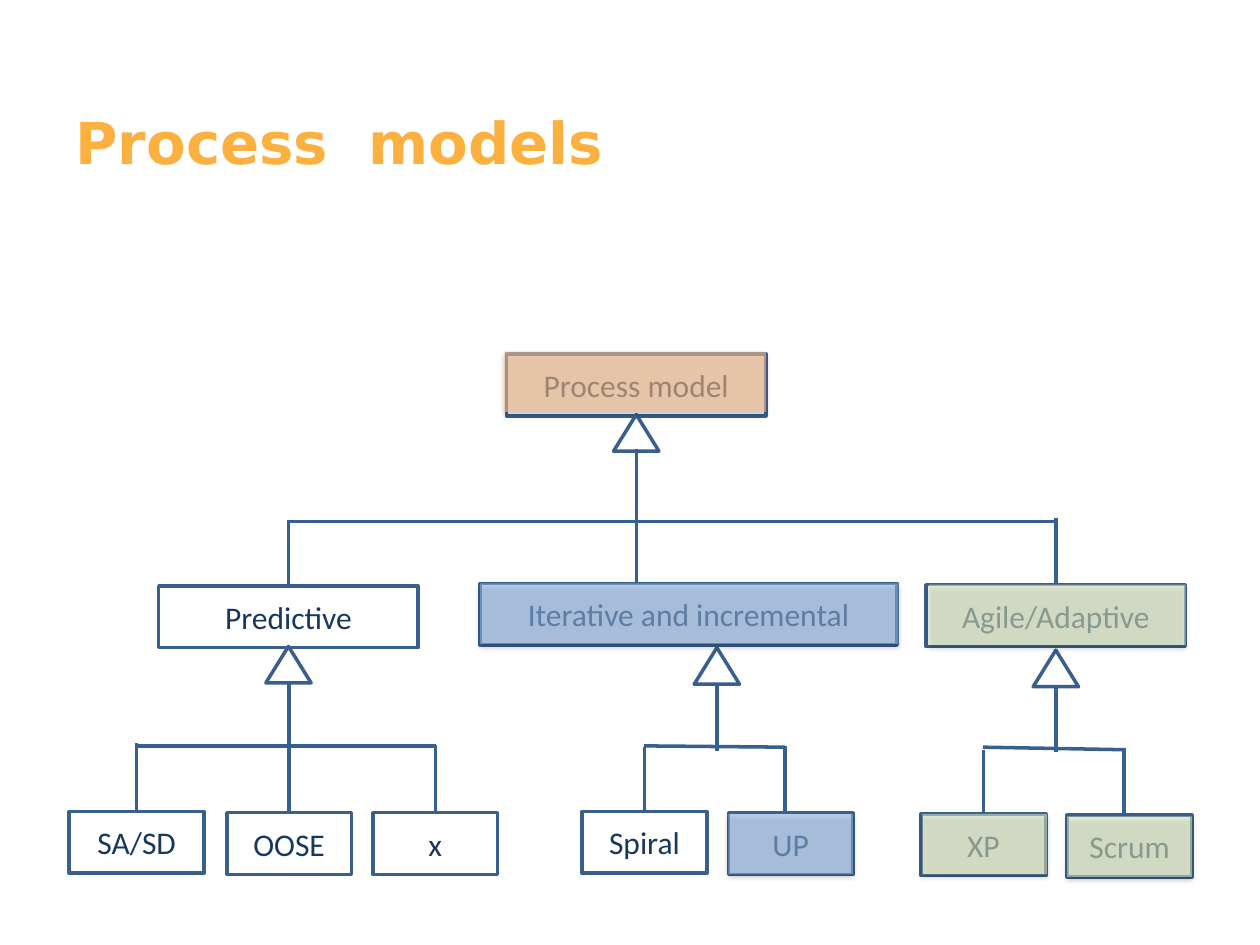
from typing import NamedTuple, Optional

from lxml import etree
from pptx import Presentation
from pptx.dml.color import RGBColor
from pptx.enum import shapes, text
from pptx.oxml.ns import qn
from pptx.util import Inches, Pt

COLORS = {
    "title": "FBB040", "text": "17375E", "white": "FFFFFF",
    "border": "3A5F8C", "line": "376092",
    "blue": "8EB4E3", "green": "D7E4BD", "orange": "FAC090",
}
BOX_HEIGHT, TINT_HEIGHT = 0.49, 0.48
ARROW_WIDTH, ARROW_HEIGHT = 0.36, 0.29


class Box(NamedTuple):
    label: str
    left: float
    top: float
    width: float = 0.99


class Line(NamedTuple):
    x1: float
    y1: float
    x2: float
    y2: float
    target: Optional[str] = None  # box whose top middle the line joins


class Tint(NamedTuple):
    color: str
    left: float
    top: float
    width: float = 0.99


BOXES = [
    Box("Process model", 4.02, 2.81, 2.06),
    Box("Predictive", 1.26, 4.65, 2.06),
    Box("Iterative and incremental", 3.81, 4.63, 3.31),
    Box("Agile/Adaptive", 7.35, 4.64, 2.06),
    Box("SA/SD", 0.55, 6.44, 1.07),
    Box("OOSE", 1.8, 6.45),
    Box("x", 2.96, 6.45),
    Box("Spiral", 4.62, 6.44),
    Box("UP", 5.78, 6.45),
    Box("XP", 7.31, 6.46),
    Box("Scrum", 8.47, 6.47),
]
# Tip of each generalization arrow
ARROW_TIPS = [(5.05, 3.29), (2.29, 5.13), (5.69, 5.14), (8.38, 5.16)]
LINES = [
    # Process model to its three families
    Line(5.05, 3.56, 5.05, 4.62),
    Line(2.29, 4.14, 8.38, 4.14),
    Line(2.29, 4.13, 2.29, 4.65, "Predictive"),
    Line(8.38, 4.11, 8.38, 4.64, "Agile/Adaptive"),
    # Predictive
    Line(2.29, 5.42, 2.29, 6.45, "OOSE"),
    Line(1.08, 5.92, 3.46, 5.92),
    Line(1.08, 5.9, 1.08, 6.44, "SA/SD"),
    Line(3.45, 5.91, 3.45, 6.45, "x"),
    # Iterative and incremental
    Line(5.69, 5.43, 5.69, 5.96),
    Line(5.11, 5.92, 6.23, 5.93),
    Line(5.12, 5.93, 5.12, 6.44, "Spiral"),
    Line(6.23, 5.92, 6.23, 6.45),
    # Agile/Adaptive
    Line(8.38, 5.45, 8.38, 5.97),
    Line(7.8, 5.93, 8.92, 5.95),
    Line(7.81, 5.95, 7.81, 6.46, "XP"),
    Line(8.92, 5.94, 8.92, 6.47),
]
TINTS = [
    Tint("blue", 5.78, 6.46),
    Tint("green", 7.32, 6.46),
    Tint("green", 8.47, 6.48),
    Tint("green", 7.37, 4.64, 2.04),
    Tint("blue", 3.81, 4.63, 3.32),
    Tint("orange", 4, 2.79, 2.08),
]


def rgb(name: str) -> RGBColor:
    return RGBColor.from_string(COLORS[name])


def style_span(span, font: str, size: float, color: str, bold: bool = False) -> None:
    span.font.name, span.font.size, span.font.bold = font, Pt(size), bold
    span.font.color.rgb = rgb(color)


def add_outlined(page, kind, left: float, top: float, width: float, height: float):
    shape = page.shapes.add_shape(
        kind, Inches(left), Inches(top), Inches(width), Inches(height))
    shape.shadow.inherit = False
    shape.fill.solid()
    shape.fill.fore_color.rgb = rgb("white")
    shape.line.color.rgb = rgb("border")
    shape.line.width = Pt(2)
    return shape


def draw_box(page, box: Box):
    shape = add_outlined(page, shapes.MSO_SHAPE.RECTANGLE,
                         box.left, box.top, box.width, BOX_HEIGHT)
    frame = shape.text_frame
    frame.text = box.label
    frame.word_wrap = False
    frame.vertical_anchor = text.MSO_ANCHOR.MIDDLE
    frame.paragraphs[0].alignment = text.PP_ALIGN.CENTER
    style_span(frame.paragraphs[0].runs[0], "Calibri", 18, "text")
    return shape


def draw_line(page, line: Line, boxes: dict) -> None:
    connector = page.shapes.add_connector(
        shapes.MSO_CONNECTOR.STRAIGHT,
        Inches(line.x1), Inches(line.y1), Inches(line.x2), Inches(line.y2))
    if line.target:
        target = boxes[line.target]
        connector.end_connect(target, 0)
        connector.begin_x = connector.end_x  # keep the drop vertical
    connector.line.color.rgb = rgb("line")
    connector.line.width = Pt(2)
    etree.SubElement(connector._element.spPr, qn("a:effectLst"))


def draw_tint(page, tint: Tint) -> None:
    shape = page.shapes.add_shape(
        shapes.MSO_SHAPE.RECTANGLE, Inches(tint.left), Inches(tint.top),
        Inches(tint.width), Inches(TINT_HEIGHT))
    shape.shadow.inherit = False
    shape.line.fill.background()
    shape.fill.solid()
    shape.fill.fore_color.rgb = rgb(tint.color)
    properties = shape._element.spPr
    fill_color = properties.find(qn("a:solidFill")).find(qn("a:srgbClr"))
    etree.SubElement(fill_color, qn("a:alpha"), val="60000")
    # Soft shadow straight below
    shadow = etree.SubElement(
        properties.find(qn("a:effectLst")), qn("a:outerShdw"),
        blurRad=str(Pt(3.1)), dist=str(Pt(1.8)), dir="5400000", rotWithShape="0")
    shadow_color = etree.SubElement(shadow, qn("a:srgbClr"), val="000000")
    etree.SubElement(shadow_color, qn("a:alpha"), val="35000")


def draw_title(page, wording: str) -> None:
    title = page.shapes.title
    title.left, title.top = Inches(0.5), Inches(0.8)
    title.width, title.height = Inches(9), Inches(1.25)
    frame = title.text_frame
    frame.text = wording
    frame.vertical_anchor = text.MSO_ANCHOR.TOP
    frame.paragraphs[0].alignment = text.PP_ALIGN.LEFT
    style_span(frame.paragraphs[0].runs[0], "DejaVu Sans", 33, "title", bold=True)


def main() -> None:
    deck = Presentation()
    deck.slide_width, deck.slide_height = Inches(10), Inches(7.5)
    page = deck.slides.add_slide(deck.slide_layouts[5])

    draw_title(page, "Process  models")
    # Hierarchy
    boxes = {box.label: draw_box(page, box) for box in BOXES}
    for x, y in ARROW_TIPS:
        add_outlined(page, shapes.MSO_SHAPE.ISOSCELES_TRIANGLE,
                     x - ARROW_WIDTH / 2, y, ARROW_WIDTH, ARROW_HEIGHT)
    for line in LINES:
        draw_line(page, line, boxes)
    # Translucent highlights over the boxes
    for tint in TINTS:
        draw_tint(page, tint)

    deck.save("out.pptx")


if __name__ == "__main__":
    main()
